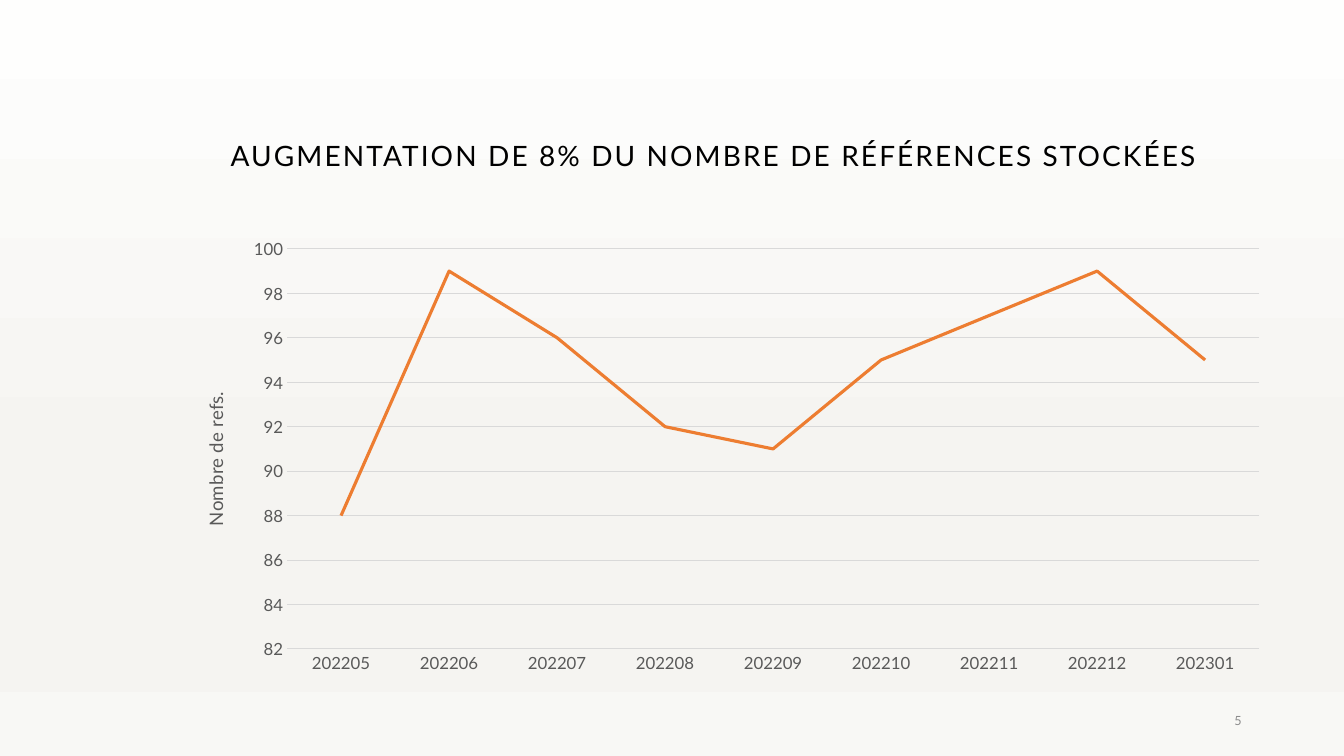
import pptx
import pptx.chart.data
import pptx.dml.color
import pptx.enum.chart
import pptx.enum.text
import pptx.oxml
import pptx.oxml.ns
import pptx.util

Cm = pptx.util.Cm
Pt = pptx.util.Pt
qn = pptx.oxml.ns.qn

FONT = "Lato"
COLORS = {"title": "000000", "axis": "595959", "grid": "D9D9D9",
          "line": "ED7D31", "number": "8C8C8C"}
BACKGROUND_STOPS = [(0, "FEFEFD"), (63, "F5F4F1"), (83, "F5F4F1"), (100, "F8F8F5")]

TEXTS = [
    {"text": "AUGMENTATION DE 8% DU NOMBRE DE RÉFÉRENCES STOCKÉES",
     "place": (5.56, 2.49, 29.21 - 0.9, 1.98), "size": 20, "color": "title",
     "anchor": pptx.enum.text.MSO_ANCHOR.BOTTOM,
     "align": pptx.enum.text.PP_ALIGN.LEFT, "spacing": 150},
    {"text": "5",
     "place": (28.8, 17.65, 2.74, 1.02), "size": 9, "color": "number",
     "anchor": pptx.enum.text.MSO_ANCHOR.MIDDLE,
     "align": pptx.enum.text.PP_ALIGN.RIGHT, "spacing": 0},
]

CHART_PLACE = (4.45, 5.82, 27.84, 11.33)
PLOT_LAYOUT = {"layoutTarget": "inner", "xMode": "edge", "yMode": "edge",
               "x": 0.1, "y": 0.04, "w": 0.88, "h": 0.89}
AXIS_TITLE_LAYOUT = {"xMode": "edge", "yMode": "edge", "x": 0.02, "y": 0.35}
AXIS_TITLE = "Nombre de refs."
SERIES_NAME = "Series 1"
REFERENCES = {"202205": 88, "202206": 99, "202207": 96, "202208": 92, "202209": 91,
              "202210": 95, "202211": 97, "202212": 99, "202301": 95}
VALUE_SCALE = {"minimum_scale": 82, "maximum_scale": 100, "major_unit": 2}


def rgb(name):
    return pptx.dml.color.RGBColor.from_string(COLORS[name])


def style_font(font, size, color):
    for key, value in {"name": FONT, "size": Pt(size), "bold": False}.items():
        setattr(font, key, value)
    font.color.rgb = rgb(color)


def style_line(line, color, width):
    line.color.rgb = rgb(color)
    line.width = Pt(width)


def paint_background(slide):
    fill = slide.background.fill
    fill.gradient()
    fill.gradient_angle = 270
    stops = slide.element.find(".//" + qn("a:gsLst"))
    for stop in list(stops):
        stops.remove(stop)
    for percent, color in BACKGROUND_STOPS:
        stop = stops.makeelement(qn("a:gs"), {"pos": str(percent * 1000)})
        stop.append(stop.makeelement(qn("a:srgbClr"), {"val": color}))
        stops.append(stop)


def add_text(slide, item):
    box = slide.shapes.add_textbox(*map(Cm, item["place"]))
    frame = box.text_frame
    frame.word_wrap = True
    frame.vertical_anchor = item["anchor"]
    para = frame.paragraphs[0]
    para.alignment = item["align"]
    span = para.add_run()
    span.text = item["text"]
    style_font(span.font, item["size"], item["color"])
    if item["spacing"]:
        span.font._element.set("spc", str(item["spacing"]))


def set_layout(parent, position, values):
    """Place a chart part by fractions of the chart's size."""
    for old in parent.findall(qn("c:layout")):
        parent.remove(old)
    layout = parent.makeelement(qn("c:layout"), {})
    manual = layout.makeelement(qn("c:manualLayout"), {})
    layout.append(manual)
    for key, value in values.items():
        manual.append(manual.makeelement(qn("c:" + key), {"val": str(value)}))
    parent.insert(position, layout)


def style_axes(chart):
    for axis in (chart.category_axis, chart.value_axis):
        axis.major_tick_mark = pptx.enum.chart.XL_TICK_MARK.NONE
        axis.minor_tick_mark = pptx.enum.chart.XL_TICK_MARK.NONE
        style_font(axis.tick_labels.font, 12, "axis")
    style_line(chart.category_axis.format.line, "grid", 0.75)

    values = chart.value_axis
    for key, value in VALUE_SCALE.items():
        setattr(values, key, value)
    values.format.line.fill.background()
    values.has_major_gridlines = True
    style_line(values.major_gridlines.format.line, "grid", 0.75)
    para = values.axis_title.text_frame.paragraphs[0]
    span = para.add_run()
    span.text = AXIS_TITLE
    style_font(span.font, 13.3, "axis")


def add_reference_chart(slide):
    data = pptx.chart.data.CategoryChartData()
    data.categories = list(REFERENCES)
    data.add_series(SERIES_NAME, list(REFERENCES.values()))
    chart = slide.shapes.add_chart(
        pptx.enum.chart.XL_CHART_TYPE.LINE, *map(Cm, CHART_PLACE), data).chart
    chart.has_title = False
    chart.has_legend = False
    style_font(chart.font, 10, "title")
    chart.plots[0].vary_by_categories = False
    series = chart.plots[0].series[0]
    series.smooth = False
    series.marker.style = pptx.enum.chart.XL_MARKER_STYLE.NONE
    style_line(series.format.line, "line", 2.25)
    style_axes(chart)
    set_layout(chart.element.find(".//" + qn("c:plotArea")), 0, PLOT_LAYOUT)
    set_layout(chart.element.find(".//" + qn("c:valAx") + "/" + qn("c:title")),
               1, AXIS_TITLE_LAYOUT)


def main():
    deck = pptx.Presentation()
    deck.slide_width, deck.slide_height = Cm(33.87), Cm(19.05)
    page = deck.slides.add_slide(deck.slide_layouts[6])
    paint_background(page)
    add_reference_chart(page)
    for item in TEXTS:
        add_text(page, item)
    deck.save("out.pptx")


if __name__ == "__main__":
    main()
